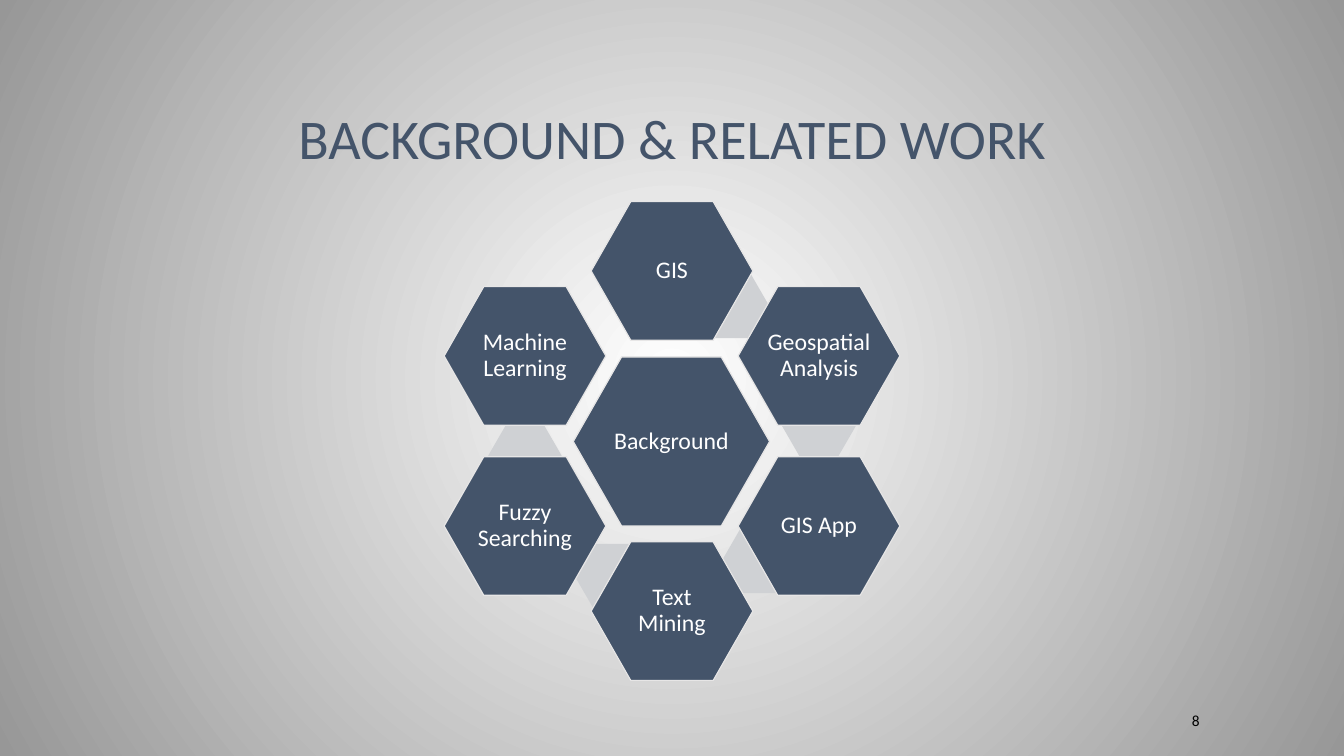
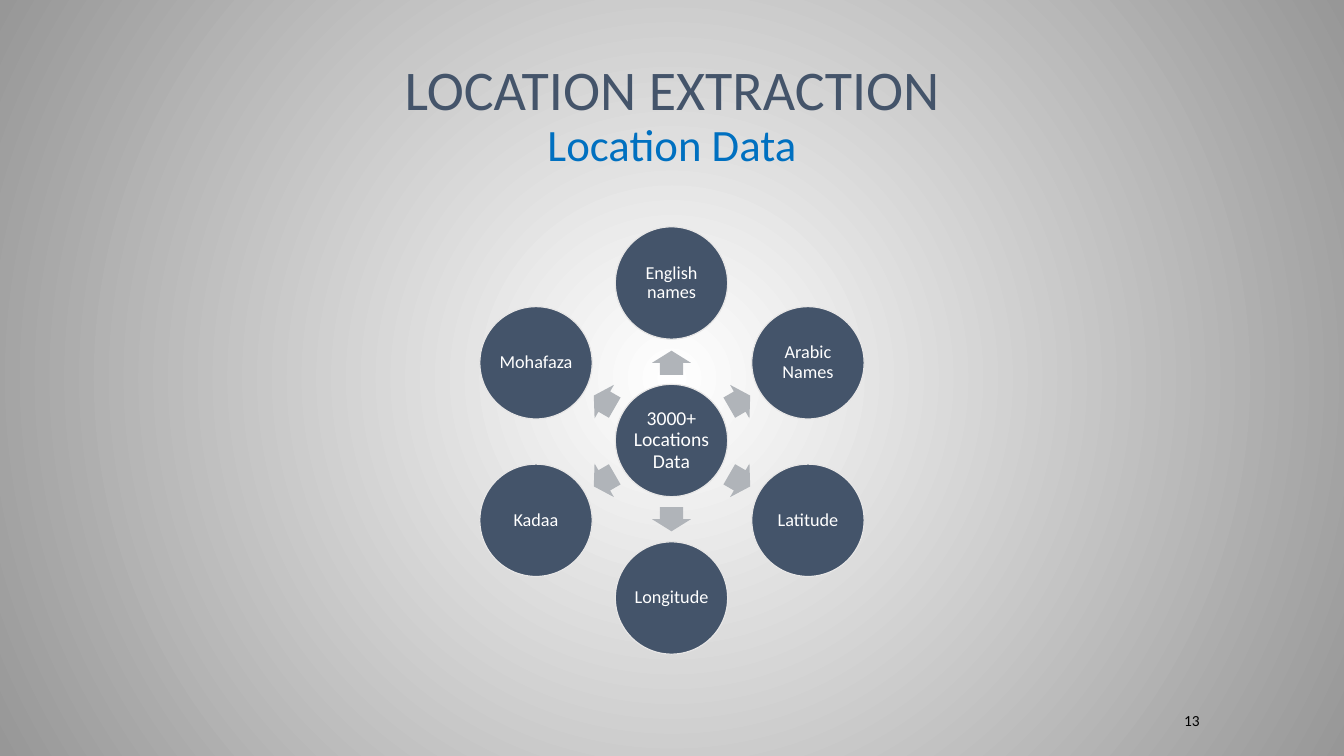
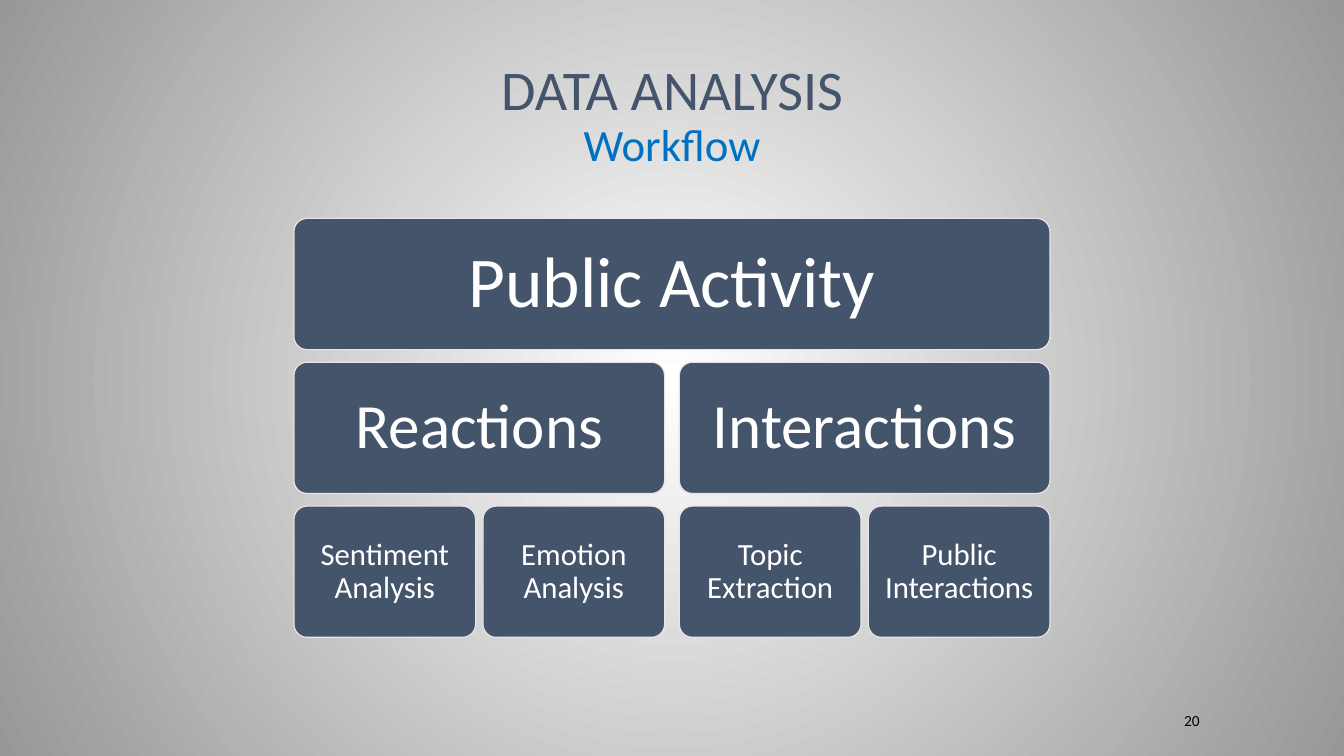
import math

from pptx import Presentation
from pptx.dml.color import RGBColor
from pptx.enum.shapes import MSO_SHAPE
from pptx.enum.text import MSO_ANCHOR, PP_ALIGN
from pptx.oxml import parse_xml
from pptx.util import Emu, Pt

HEXAGON = MSO_SHAPE.HEXAGON
CIRCLE = MSO_SHAPE.OVAL
ARROW = MSO_SHAPE.RIGHT_ARROW
ROUNDED = MSO_SHAPE.ROUNDED_RECTANGLE
MIDDLE, BOTTOM = MSO_ANCHOR.MIDDLE, MSO_ANCHOR.BOTTOM
CENTER, RIGHT = PP_ALIGN.CENTER, PP_ALIGN.RIGHT

EMU_PER_PX = 9525
SLIDE_WIDTH, SLIDE_HEIGHT = 1280, 720
FONT = "Calibri"
LINE_SPACING = 0.9
COLORS = {
    "slate": "44546A",
    "blue": "0070C0",
    "outline": "E7E6E6",
    "hexagon accent": "CFD1D4",
    "arrow": "B0B4B9",
    "white": "FFFFFF",
    "black": "000000",
    "background edge": "979797",
}
RADIAL_PATH = (
    '<a:path xmlns:a="http://schemas.openxmlformats.org/drawingml/2006/main" path="circle">'
    '<a:fillToRect l="50000" t="50000" r="50000" b="50000"/></a:path>'
)

HUB = (640, 420)
HEXAGON_ADJUST = 0.286
ACCENT_ADJUST = 0.289

TREE_LEFT, TREE_TOP, TREE_WIDTH = 280, 208, 720
ROW_HEIGHT, ROW_STEP = 125, 137
# Per level: font size, text inset, gap between the boxes below
TREE_LEVELS = [(51, 20, 14), (45, 18, 7), (22, 9, 0)]


def px(value):
    return Emu(round(value) * EMU_PER_PX)


def color(name):
    return RGBColor.from_string(COLORS[name])


def style_font(font, size, color_name):
    font.name = FONT
    font.size = Pt(size)
    font.color.rgb = color(color_name)


def set_background(master):
    """Give all slides a gradient from a white centre to grey corners."""
    fill = master.background.fill
    fill.gradient()
    for stop, name in zip(fill.gradient_stops, ("white", "background edge")):
        stop.color.rgb = color(name)
    gradient = master.element.find(".//{*}bgPr/{*}gradFill")
    gradient.replace(gradient.find("{*}lin"), parse_xml(RADIAL_PATH))


def add_text_box(slide, left, top, width, height, anchor, alignment):
    """Add an empty text box and return its first paragraph."""
    frame = slide.shapes.add_textbox(px(left), px(top), px(width), px(height)).text_frame
    frame.word_wrap = True
    frame.vertical_anchor = anchor
    paragraph = frame.paragraphs[0]
    paragraph.alignment = alignment
    return paragraph


def add_base_slide(presentation, number, title, subtitle=None):
    """Add a slide with its title, optional subtitle line and page number."""
    slide = presentation.slides.add_slide(presentation.slide_layouts[6])
    heading = add_text_box(slide, 128, 29, 1024, 139, BOTTOM, CENTER)
    heading.line_spacing = LINE_SPACING
    run = heading.add_run()
    run.text = title
    style_font(run.font, 40, "slate")
    if subtitle:
        heading.add_line_break()
        run = heading.add_run()
        run.text = subtitle
        style_font(run.font, 32, "blue")
    page = add_text_box(slide, 1032, 677, 120, 19, MIDDLE, RIGHT)
    page.text = str(number)
    style_font(page.font, 11, "black")
    return slide


def add_filled_shape(slide, kind, box, color_name, adjust=None):
    left, top, width, height = box
    shape = slide.shapes.add_shape(kind, px(left), px(top), px(width), px(height))
    shape.shadow.inherit = False
    shape.fill.solid()
    shape.fill.fore_color.rgb = color(color_name)
    shape.line.fill.background()
    if adjust is not None:
        shape.adjustments[0] = adjust
    return shape


def add_node(slide, kind, box, text, size, inset=0, adjust=None):
    """Add an outlined slate shape with centred white text."""
    shape = add_filled_shape(slide, kind, box, "slate", adjust)
    shape.line.color.rgb = color("outline")
    shape.line.width = Pt(0.85)
    frame = shape.text_frame
    frame.word_wrap = True
    frame.vertical_anchor = MIDDLE
    frame.margin_left = frame.margin_right = px(inset)
    frame.margin_top = frame.margin_bottom = px(inset)
    paragraph = frame.paragraphs[0]
    paragraph.text = text
    paragraph.alignment = CENTER
    paragraph.line_spacing = LINE_SPACING
    style_font(paragraph.font, size, "white")


def ring_box(radius, angle, width, height):
    """Box centred at a clockwise angle from the top of a ring around the hub."""
    radians = math.radians(angle)
    x = HUB[0] + radius * math.sin(radians)
    y = HUB[1] - radius * math.cos(radians)
    return x - width / 2, y - height / 2, width, height


def add_hexagon_ring(slide, hub_text, labels):
    step = 360 / len(labels)
    add_node(slide, HEXAGON, ring_box(0, 0, 187, 161), hub_text, 17, adjust=HEXAGON_ADJUST)
    for index in range(len(labels) - 1):
        box = ring_box(141, 24.4 + index * step, 70, 60)
        add_filled_shape(slide, HEXAGON, box, "hexagon accent", ACCENT_ADJUST)
    for index, label in enumerate(labels):
        box = ring_box(162, index * step, 154, 132)
        add_node(slide, HEXAGON, box, label, 17, adjust=HEXAGON_ADJUST)


def add_radial_circles(slide, hub_text, labels):
    step = 360 / len(labels)
    diameter = 107
    add_node(slide, CIRCLE, ring_box(0, 0, diameter, diameter), hub_text, 14)
    for index, label in enumerate(labels):
        angle = index * step
        arrow = add_filled_shape(slide, ARROW, ring_box(74.5, angle, 23, 37), "arrow", 0.6)
        arrow.rotation = (angle - 90) % 360
        add_node(slide, CIRCLE, ring_box(150, angle, diameter, diameter), label, 13)


def add_tree(slide, node, left=TREE_LEFT, width=TREE_WIDTH, level=0):
    """Draw a (text, children) node with its children sharing its width below."""
    text, children = node
    size, inset, gap = TREE_LEVELS[level]
    box = (left, TREE_TOP + level * ROW_STEP, width, ROW_HEIGHT)
    add_node(slide, ROUNDED, box, text, size, inset, adjust=0.1)
    if children:
        child_width = (width - gap * (len(children) - 1)) / len(children)
        for index, child in enumerate(children):
            child_left = left + index * (child_width + gap)
            add_tree(slide, child, child_left, child_width, level + 1)


def main():
    presentation = Presentation()
    presentation.slide_width = px(SLIDE_WIDTH)
    presentation.slide_height = px(SLIDE_HEIGHT)
    set_background(presentation.slide_master)

    slide = add_base_slide(presentation, 8, "BACKGROUND & RELATED WORK")
    add_hexagon_ring(slide, "Background", [
        "GIS", "Geospatial Analysis", "GIS App",
        "Text Mining", "Fuzzy Searching", "Machine Learning",
    ])

    slide = add_base_slide(presentation, 13, "LOCATION EXTRACTION", "Location Data")
    add_radial_circles(slide, "3000+ Locations Data", [
        "English names", "Arabic Names", "Latitude",
        "Longitude", "Kadaa", "Mohafaza",
    ])

    slide = add_base_slide(presentation, 20, "DATA ANALYSIS", "Workflow")
    add_tree(slide, ("Public Activity", [
        ("Reactions", [("Sentiment Analysis", []), ("Emotion Analysis", [])]),
        ("Interactions", [("Topic Extraction", []), ("Public Interactions", [])]),
    ]))

    presentation.save("out.pptx")


if __name__ == "__main__":
    main()
